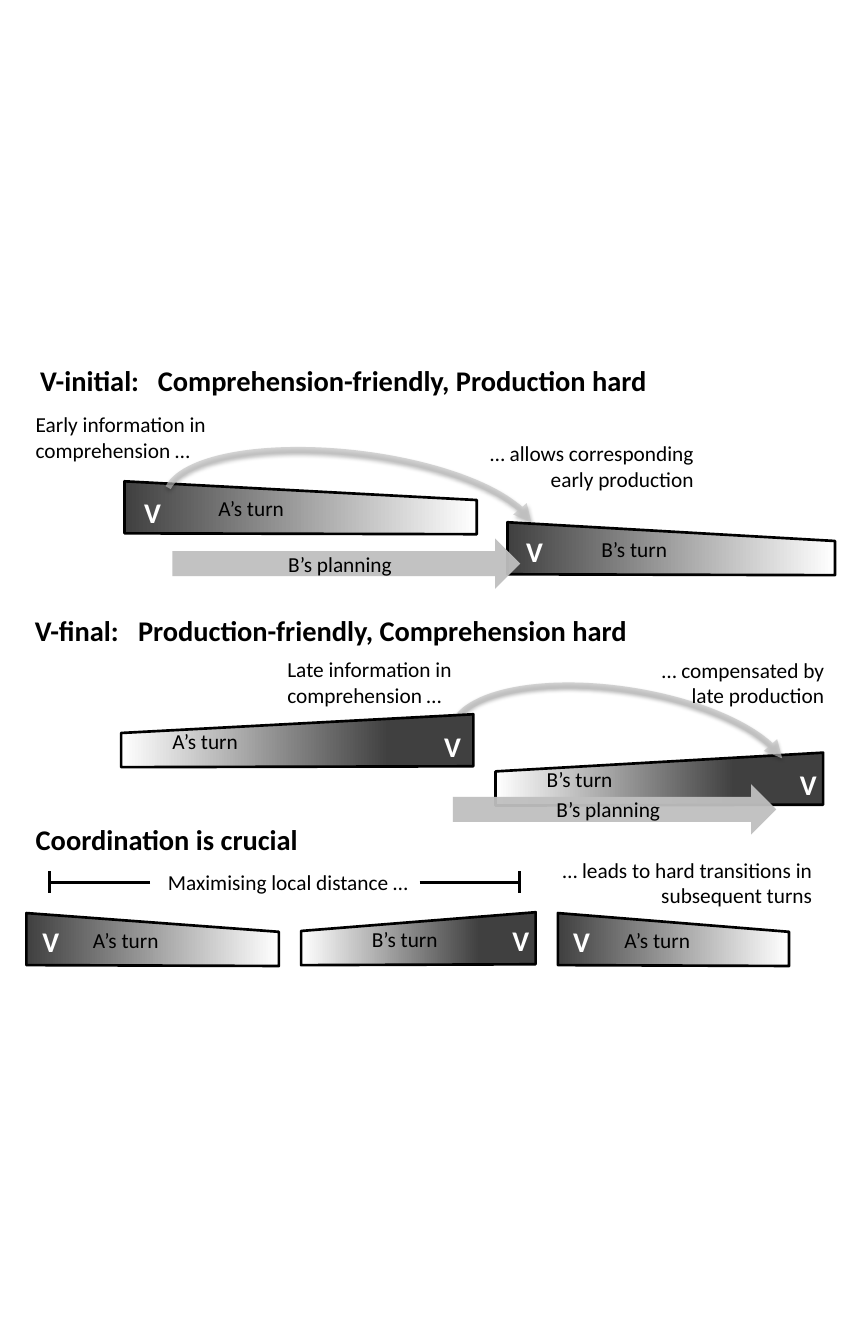
"""Build a slide on verb position and the planning of conversational turns."""
from lxml.etree import SubElement
from pptx import Presentation
from pptx.dml.color import RGBColor
from pptx.enum.dml import MSO_LINE
from pptx.enum.shapes import MSO_CONNECTOR, MSO_SHAPE
from pptx.enum.text import MSO_ANCHOR, MSO_AUTO_SIZE, PP_ALIGN
from pptx.oxml.ns import qn
from pptx.util import Inches, Pt

COLORS = {"ink": "000000", "paper": "FFFFFF", "dark": "404040", "flow": "BFBFBF"}


def rgb(name):
    return RGBColor.from_string(COLORS[name])


class TurnSlide:
    font = "Calibri"
    body, head = 18, 24

    def __init__(self, prs):
        self.s = prs.slides.add_slide(prs.slide_layouts[5])
        self.shapes = self.s.shapes

    def fill_text(self, tf, text, size=body, color="ink", bold=False, align=PP_ALIGN.LEFT):
        tf.word_wrap = True
        p = tf.paragraphs[0]
        p.alignment = align
        r = p.add_run()
        r.text = text
        for font in (p.font, r.font):
            font.name, font.size, font.bold = self.font, Pt(size), bold
            font.color.rgb = rgb(color)
        return p

    def text(self, x, y, w, h, text, **style):
        sp = self.shapes.add_textbox(Inches(x), Inches(y), Inches(w), Inches(h))
        sp.text_frame.auto_size = MSO_AUTO_SIZE.SHAPE_TO_FIT_TEXT
        return self.fill_text(sp.text_frame, text, **style)

    def tab_stop(self, p, position):
        tabs = p._p.get_or_add_pPr().makeelement(qn("a:tabLst"))
        SubElement(tabs, qn("a:tab"), pos=str(Inches(position)), algn="l")
        p._p.pPr.insert(0, tabs)

    def title(self, x, y, w, h, text, tab):
        sp = self.s.shapes.title
        sp.left, sp.top, sp.width, sp.height = map(Inches, (x, y, w, h))
        sp.text_frame.vertical_anchor = MSO_ANCHOR.TOP
        sp.text_frame.auto_size = MSO_AUTO_SIZE.NONE
        self.tab_stop(self.fill_text(sp.text_frame, text, size=self.head, bold=True), tab)

    def heading(self, x, y, text, tab=None):
        p = self.text(x, y, 8.41, 0.5, text, size=self.head, bold=True)
        if tab:
            self.tab_stop(p, tab)

    def verb(self, x, y):
        self.text(x, y, 0.43, 0.5, "V", size=self.head, color="paper", bold=True)

    def turn(self, x, y, w, text, indent, verb_final=False, dark_stop=1.0):
        high, low = (x + w, x) if verb_final else (x, x + w)
        corners = [(high, y + 0.61), (low, y + 0.62), (low, y + 0.22), (high, y)]
        points = [(Inches(px), Inches(py)) for px, py in corners]
        builder = self.shapes.build_freeform(*points[0])
        builder.add_line_segments(points[1:], close=True)
        sp = builder.convert_to_shape()
        sp.shadow.inherit = False
        sp.fill.gradient()
        sp.fill.gradient_angle = 0
        ends = [("paper", 0), ("dark", dark_stop)] if verb_final else [("dark", 0), ("paper", 1)]
        for stop, (color, position) in zip(sp.fill.gradient_stops, ends):
            stop.color.rgb = rgb(color)
            stop.position = position
        sp.line.color.rgb = rgb("ink")
        sp.line.width = Pt(2.25)
        tf = sp.text_frame
        tf.margin_left = Inches(indent)
        tf.vertical_anchor = MSO_ANCHOR.MIDDLE
        self.fill_text(tf, text)

    def grouped_turn(self, x, y, w, text, indent, verb_x, **style):
        self.shapes = self.s.shapes.add_group_shape().shapes
        self.turn(x, y, w, text, indent, **style)
        self.verb(verb_x, y + 0.08)
        self.shapes = self.s.shapes

    def alpha(self, sp, percent):
        for color in sp._element.spPr.iter(qn("a:srgbClr")):
            SubElement(color, qn("a:alpha"), val=str(percent * 1000))

    def planning(self, x, y, w, text):
        sp = self.shapes.add_shape(MSO_SHAPE.RIGHT_ARROW, Inches(x), Inches(y), Inches(w), Inches(0.59))
        sp.shadow.inherit = False
        sp.fill.solid()
        sp.fill.fore_color.rgb = rgb("flow")
        sp.line.fill.background()
        self.alpha(sp, 95)
        sp.text_frame.vertical_anchor = MSO_ANCHOR.MIDDLE
        self.fill_text(sp.text_frame, text, align=PP_ALIGN.CENTER)

    def arc(self, x, y, w, h, rotation, angles, opacity):
        sp = self.shapes.add_shape(MSO_SHAPE.ARC, Inches(x), Inches(y), Inches(w), Inches(h))
        sp.rotation = rotation
        sp.adjustments[0], sp.adjustments[1] = (angle * 0.6 for angle in angles)
        sp.fill.background()
        sp.line.color.rgb = rgb("flow")
        sp.line.width = Pt(5)
        sp.line.dash_style = MSO_LINE.SOLID
        self.alpha(sp, opacity)
        sp.shadow.inherit = False
        spPr = sp._element.spPr
        SubElement(spPr.find(qn("a:ln")), qn("a:tailEnd"), type="triangle")
        shadow = SubElement(spPr.find(qn("a:effectLst")), qn("a:outerShdw"), blurRad=str(Pt(3.1)),
                            dist=str(Pt(1.6)), dir="5400000", rotWithShape="0")
        color = SubElement(shadow, qn("a:srgbClr"), val=COLORS["ink"])
        SubElement(color, qn("a:alpha"), val="38000")

    def line(self, x1, y1, x2, y2):
        sp = self.shapes.add_connector(MSO_CONNECTOR.STRAIGHT, *map(Inches, (x1, y1, x2, y2)))
        sp.line.color.rgb = rgb("ink")
        sp.line.width = Pt(3)
        SubElement(sp._element.spPr, qn("a:effectLst"))


prs = Presentation()
prs.slide_width, prs.slide_height = Inches(10), Inches(15.75)
s = TurnSlide(prs)
right = PP_ALIGN.RIGHT

s.title(0.37, 4.21, 8.23, 0.5, "V-initial:\tComprehension-friendly, Production hard", tab=1.38)
s.turn(5.95, 6.12, 3.84, "B’s turn", 1.1)
s.turn(1.46, 5.64, 4.13, "A’s turn", 1.1)
s.planning(2.02, 6.31, 4.08, "B’s planning")
s.arc(1.93, 5.31, 4.36, 1.5, 6.7, (182.45, 354.99), 64)
s.text(0.32, 4.77, 2.64, 0.71, "Early information in comprehension …")
s.text(5.45, 5.11, 2.78, 0.71, "… allows corresponding early production", align=right)
s.verb(1.59, 5.75)
s.verb(6.07, 6.21)

s.heading(0.31, 7.13, "V-final:\tProduction-friendly, Comprehension hard", tab=1.21)
s.turn(5.81, 8.82, 3.84, "B’s turn", 0.6, verb_final=True, dark_stop=0.73)
s.planning(5.31, 9.19, 3.79, "B’s planning")
s.arc(5.27, 8.08, 4, 1.57, 8.7, (183.79, 351.97), 66)
s.text(7.39, 7.65, 2.37, 0.71, "… compensated by late production", align=right)
s.turn(1.42, 8.37, 4.13, "A’s turn", 0.6, verb_final=True, dark_stop=0.76)
s.text(3.27, 7.64, 2.5, 0.71, "Late information in comprehension …")
s.verb(5.11, 8.49)
s.verb(9.28, 8.94)

s.heading(0.32, 9.58, "Coordination is crucial")
s.grouped_turn(0.31, 10.7, 2.96, "A’s turn", 0.78, 0.4)
s.grouped_turn(3.53, 10.69, 2.75, "B’s turn", 0.83, 5.91, verb_final=True, dark_stop=0.76)
s.grouped_turn(6.54, 10.7, 2.71, "A’s turn", 0.78, 6.62)
s.text(1.87, 10.14, 3.46, 0.4, "Maximising local distance …")
s.text(6.16, 9.99, 3.46, 0.71, "… leads to hard transitions in subsequent turns", align=right)
for outer, inner in ((0.58, 1.76), (6.09, 4.92)):
    s.line(inner, 10.34, outer, 10.34)
    s.line(outer, 10.21, outer, 10.46)

prs.save("out.pptx")
